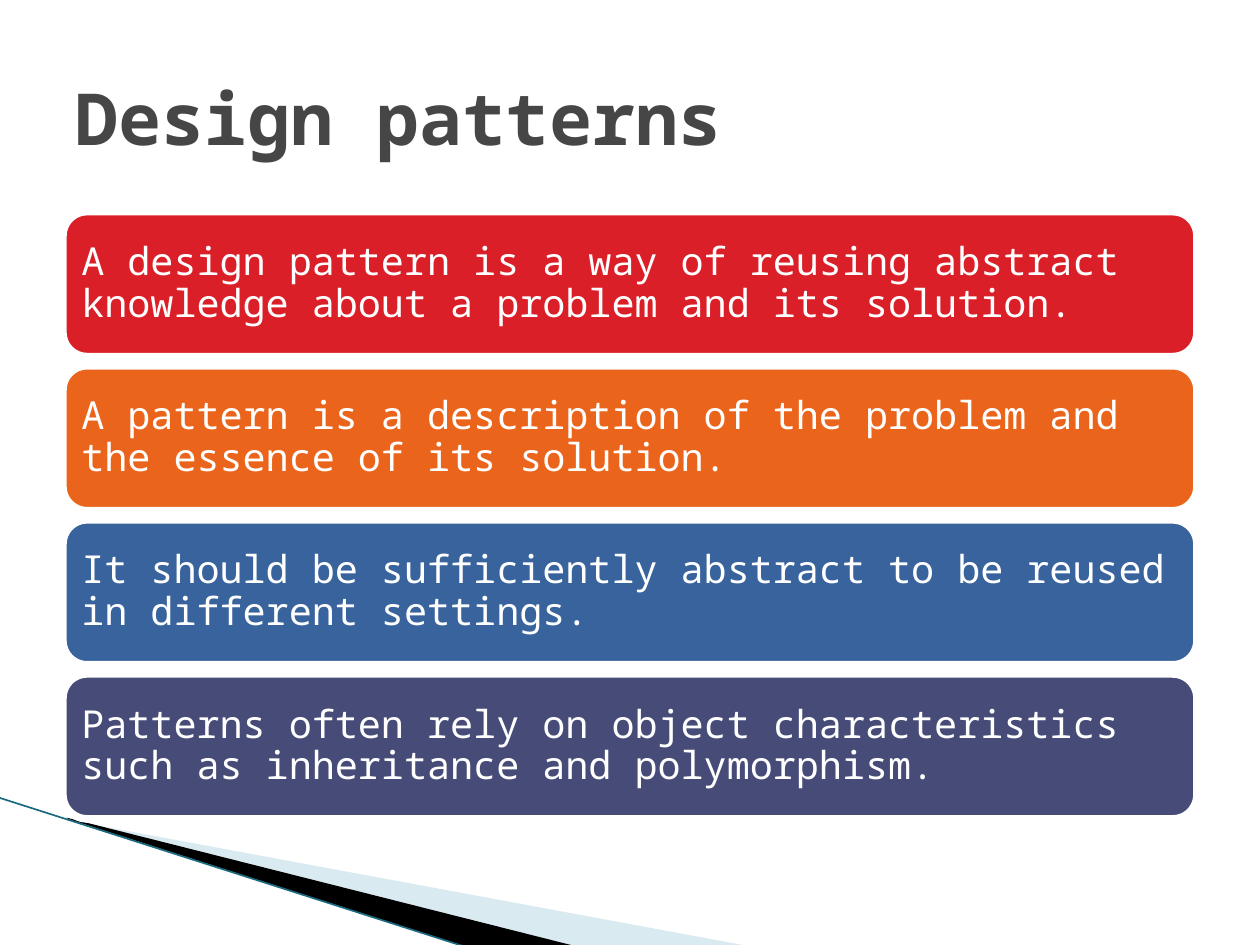
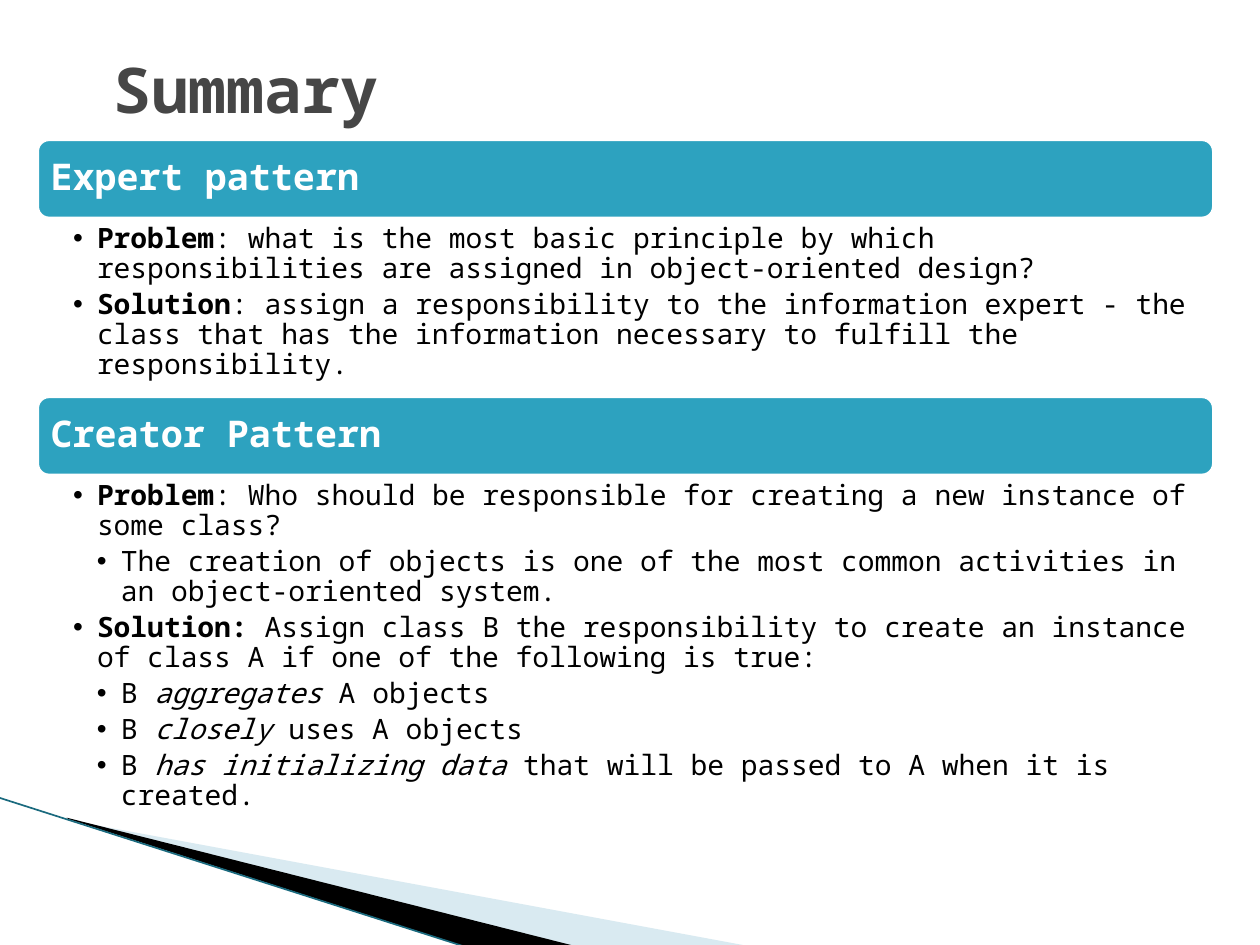
"""Build two slides on design patterns: four statement cards and a summary of two patterns."""
import pptx
import pptx.dml.color
import pptx.enum.shapes
import pptx.enum.text
import pptx.oxml.ns
import pptx.util
import lxml.etree

COLUMNS, ROWS = 100, 75
FONT = "Noto Sans Mono"
WHITE, BLACK, TITLE_GREY, TEAL = "FFFFFF", "000000", "464646", "2DA2BF"
WEDGE_BLUE, EDGE_TEAL = "A0CBDC", "1A6A7E"
WEDGES = [
    (WEDGE_BLUE, 40, [(5.5, 65.1), (59.5, 75.1), (45.6, 75.1), (5.5, 65)]),
    (BLACK, 100, [(5.3, 64.9), (45.7, 75.1), (37.2, 75.2), (5.4, 65)]),
]
EDGE = (-0.1, 63.3, 37.1, 75.2)

CARDS = [
    ("DA1F28", "A design pattern is a way of reusing abstract knowledge about a problem and its solution."),
    ("EB641B", "A pattern is a description of the problem and the essence of its solution."),
    ("39639D", "It should be sufficiently abstract to be reused in different settings."),
    ("474B78", "Patterns often rely on object characteristics such as inheritance and polymorphism."),
]
CARD_LEFT, CARD_TOP, CARD_WIDTH, CARD_HEIGHT, CARD_PITCH = 5, 16.8, 90, 11.5, 12.23

PATTERNS = [
    ("Expert pattern", 10.9, 13.8, [
        (1, [("Problem", "b"), (": what is the most basic principle by which responsibilities "
                               "are assigned in object-oriented design?", "")]),
        (1, [("Solution", "b"), (": assign a responsibility to the information expert - the class "
                                "that has the information necessary to fulfill the responsibility.", "")]),
    ]),
    ("Creator Pattern", 31.3, 29, [
        (1, [("Problem", "b"), (": Who should be responsible for creating a new instance of some class?", "")]),
        (2, [("The creation of objects is one of the most common activities in "
              "an object-oriented system.", "")]),
        (1, [("Solution:", "b"), (" Assign class B the responsibility to create an instance of class A "
                                 "if one of the following is true:", "")]),
        (2, [("B ", ""), ("aggregates", "i"), (" A objects", "")]),
        (2, [("B ", ""), ("closely", "i"), (" uses A objects", "")]),
        (2, [("B ", ""), ("has initializing data", "i"),
             (" that will be passed to A when it is created.", "")]),
    ]),
]
LIST_LEFT, LIST_WIDTH, HEADER_HEIGHT, INDENT = 2.8, 93.7, 6.6, 1.9

deck = pptx.Presentation()
deck.slide_width = pptx.util.Inches(10)
deck.slide_height = pptx.util.Inches(7.5)
cell_width, cell_height = deck.slide_width / COLUMNS, deck.slide_height / ROWS


def color(value):
    """Turn a hex string into a colour."""
    return pptx.dml.color.RGBColor.from_string(value)


def place(left, top, width, height):
    """Turn grid columns and rows into slide lengths."""
    return [round(size * cell) for size, cell in
            zip((left, top, width, height), (cell_width, cell_height) * 2)]


titles = [
    ("Design patterns", 5, (5, 3, 90, 12.5), 41, pptx.enum.text.MSO_ANCHOR.MIDDLE, (1, 0.5, 1, 0.5)),
    ("Summary", 3, (9, 3.6, 82.7, 6.4), 36, pptx.enum.text.MSO_ANCHOR.BOTTOM, (0, 0.5, 0, 0)),
]
pages = []
for text, layout, area, size, anchor, margins in titles:
    page = deck.slides.add_slide(deck.slide_layouts[layout])
    pages.append(page)
    title = page.shapes.title
    title.left, title.top, title.width, title.height = place(*area)
    frame = title.text_frame
    frame.text = text
    frame.auto_size = pptx.enum.text.MSO_AUTO_SIZE.NONE
    frame.vertical_anchor = anchor
    frame.margin_left, frame.margin_top, frame.margin_right, frame.margin_bottom = place(*margins)
    para = frame.paragraphs[0]
    para.alignment = pptx.enum.text.PP_ALIGN.LEFT
    span = para.runs[0]
    span.font.name, span.font.size, span.font.bold = FONT, pptx.util.Pt(size), True
    span.font.color.rgb = color(TITLE_GREY)

    for fill, opacity, corners in WEDGES:
        points = [(x * cell_width, y * cell_height) for x, y in corners]
        builder = page.shapes.build_freeform(*points[0])
        builder.add_line_segments(points[1:])
        wedge = builder.convert_to_shape()
        wedge.shadow.inherit = False
        wedge.line.fill.background()
        wedge.fill.solid()
        wedge.fill.fore_color.rgb = color(fill)
        if opacity < 100:
            tint = wedge.fill._xPr.find(".//" + pptx.oxml.ns.qn("a:srgbClr"))
            lxml.etree.SubElement(tint, pptx.oxml.ns.qn("a:alpha"), val=str(opacity * 1000))
    edge = page.shapes.add_connector(pptx.enum.shapes.MSO_CONNECTOR.STRAIGHT, *place(*EDGE))
    edge.line.color.rgb = color(EDGE_TEAL)
    edge.line.width = pptx.util.Pt(0.95)
    lxml.etree.SubElement(edge._element.spPr, pptx.oxml.ns.qn("a:effectLst"))

cards_page, summary_page = pages
boxes = [
    (cards_page, (CARD_LEFT, CARD_TOP + row * CARD_PITCH, CARD_WIDTH, CARD_HEIGHT), fill, text, 22, False)
    for row, (fill, text) in enumerate(CARDS)
] + [
    (summary_page, (LIST_LEFT, top, LIST_WIDTH, HEADER_HEIGHT), TEAL, name, 21, True)
    for name, top, height, points in PATTERNS
]
for page, area, fill, text, size, bold in boxes:
    box = page.shapes.add_shape(pptx.enum.shapes.MSO_SHAPE.ROUNDED_RECTANGLE, *place(*area))
    box.shadow.inherit = False
    box.fill.solid()
    box.fill.fore_color.rgb = color(fill)
    box.line.color.rgb = color(WHITE)
    box.line.width = pptx.util.Pt(4.33)
    frame = box.text_frame
    frame.text = text
    frame.word_wrap = True
    frame.vertical_anchor = pptx.enum.text.MSO_ANCHOR.MIDDLE
    frame.margin_left, frame.margin_top, frame.margin_right, frame.margin_bottom = place(0.9, 0.9, 0.9, 0.9)
    para = frame.paragraphs[0]
    para.alignment = pptx.enum.text.PP_ALIGN.LEFT
    para.line_spacing = 0.9
    para.space_after = pptx.util.Pt(0.35 * size)
    span = para.runs[0]
    span.font.name, span.font.size, span.font.bold = FONT, pptx.util.Pt(size), bold
    span.font.color.rgb = color(WHITE)

bodies = list(summary_page.placeholders)[1:]
for body, (name, top, height, points) in zip(bodies, PATTERNS):
    body.left, body.top, body.width, body.height = place(LIST_LEFT, top + HEADER_HEIGHT, LIST_WIDTH, height)
    frame = body.text_frame
    frame.auto_size = pptx.enum.text.MSO_AUTO_SIZE.NONE
    frame.vertical_anchor = pptx.enum.text.MSO_ANCHOR.TOP
    frame.margin_left, frame.margin_top, frame.margin_right, frame.margin_bottom = place(3, 0.3, 1.6, 0.3)
    for number, (level, spans) in enumerate(points):
        para = frame.add_paragraph() if number else frame.paragraphs[0]
        para.level = level
        properties = para._p.get_or_add_pPr()
        properties.set("marL", str(round(level * INDENT * cell_width)))
        properties.set("indent", str(round(-INDENT * cell_width)))
        lxml.etree.SubElement(properties, pptx.oxml.ns.qn("a:buChar"), char="•")
        para.line_spacing = 0.9
        para.space_before = pptx.util.Pt(0)
        para.space_after = pptx.util.Pt(3.2)
        for text, style in spans:
            span = para.add_run()
            span.text = text
            span.font.name, span.font.size = FONT, pptx.util.Pt(16)
            span.font.bold, span.font.italic = style == "b", style == "i"
            span.font.color.rgb = color(BLACK)

deck.save("out.pptx")
